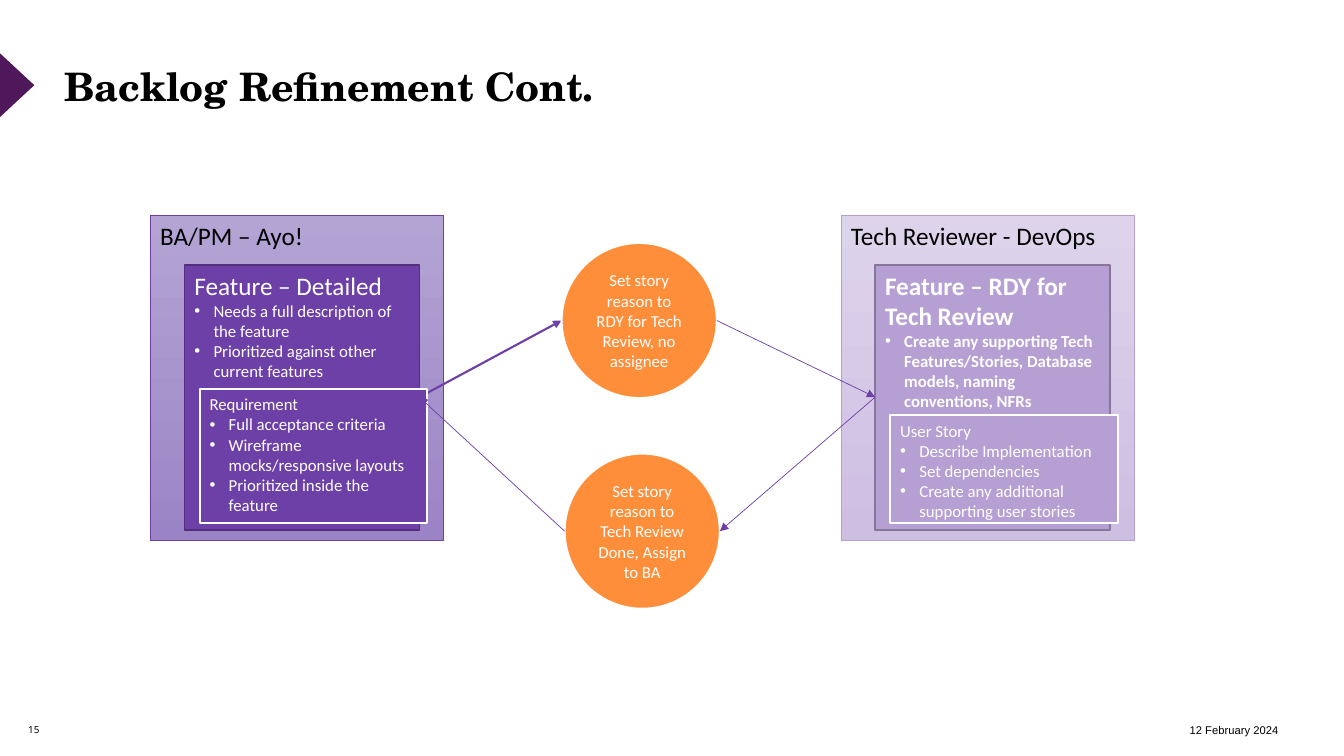
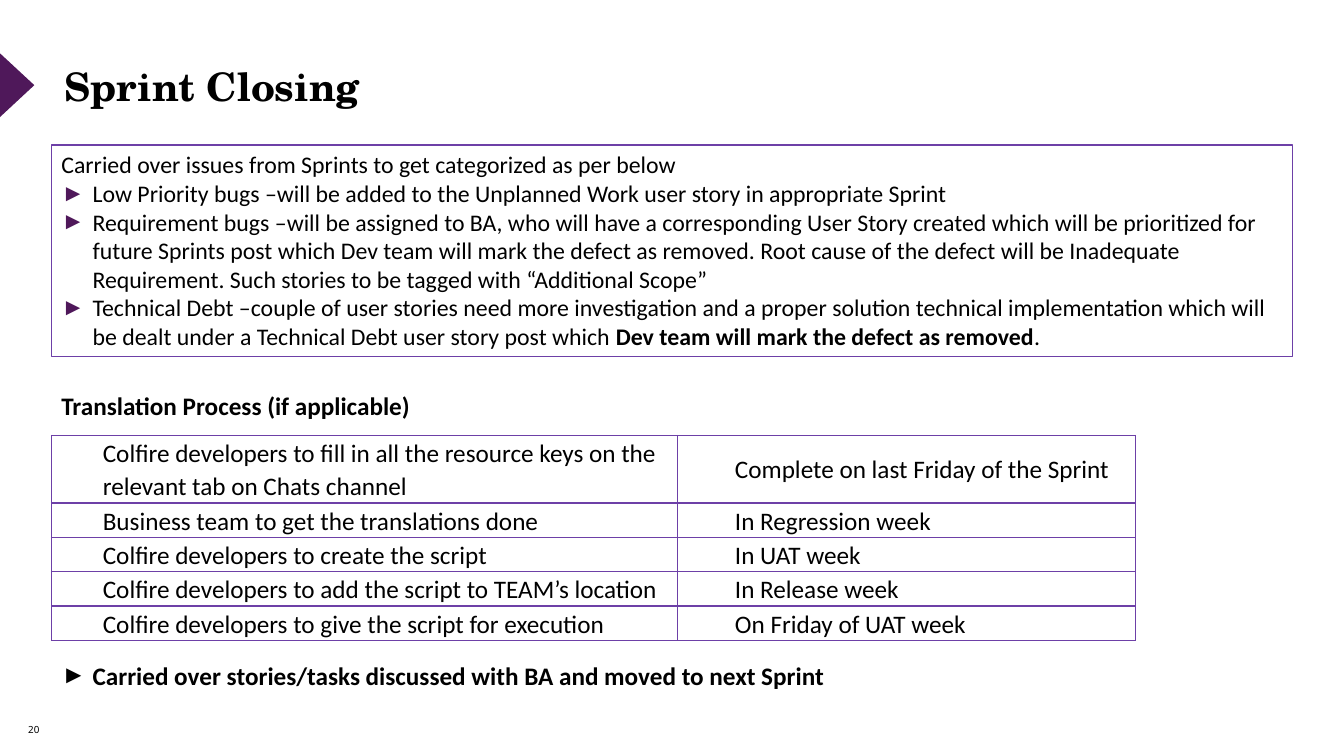
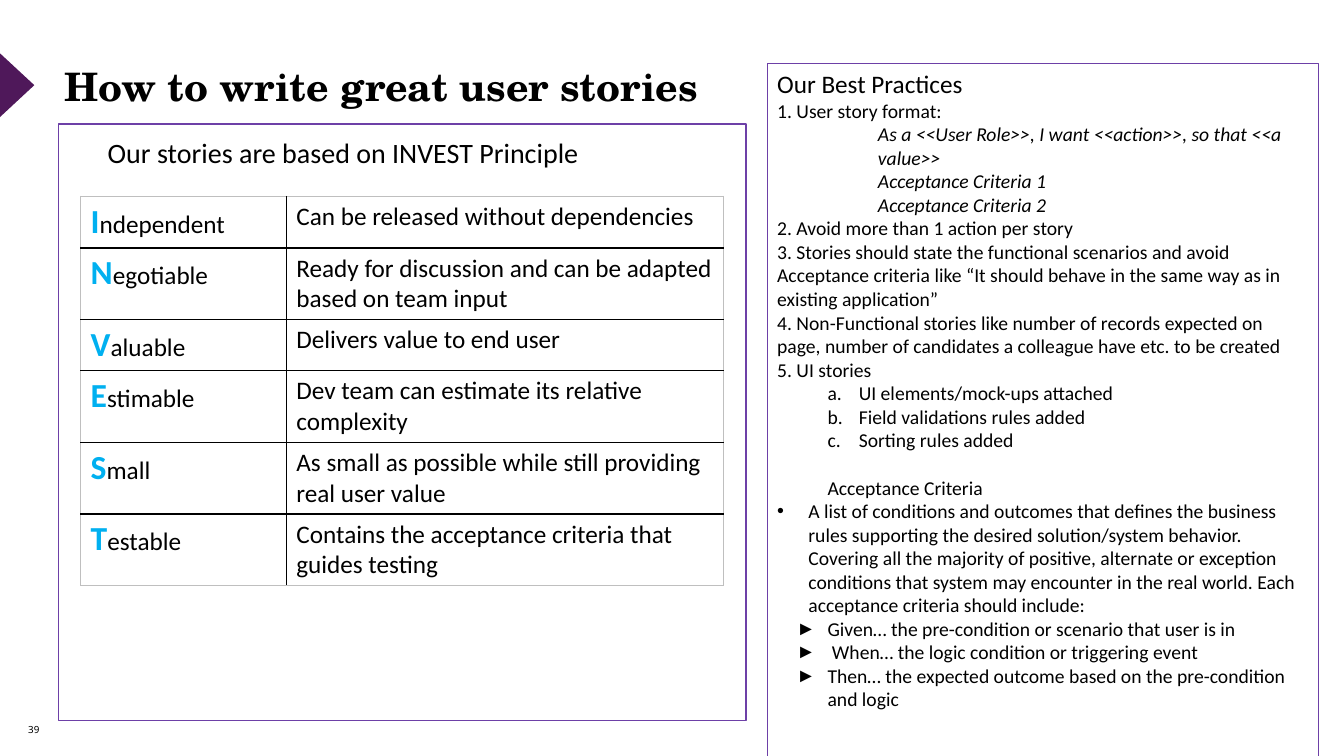
from dataclasses import dataclass
from typing import Any

from lxml.etree import SubElement
from pptx import Presentation
from pptx.dml.color import RGBColor
from pptx.enum.shapes import MSO_CONNECTOR as Link, MSO_SHAPE as Form
from pptx.enum.text import MSO_ANCHOR as Anchor, PP_ALIGN as Align
from pptx.oxml.ns import qn
from pptx.util import Inches, Pt

PURPLE, LILAC, PLUM, ORANGE = "6D40A7", "B69FD3", "4F185A", "FF8E3A"
BLACK, WHITE, GREY, BLUE = "000000", "FFFFFF", "BFBFBF", "00B0F0"
BODY, HEAD = "Calibri", "TeX Gyre Schola"
ARROW, DOT, ALPHA = "►", "•", "alphaLcPeriod"


def rgb(color):
    return RGBColor.from_string(color)


@dataclass
class Para:
    """A paragraph; text is a string or a list of (text, font changes)."""
    text: Any
    size: float = 18
    color: str = BLACK
    bold: bool = False
    italic: bool = False
    font: str = BODY
    bullet: str = ""
    tint: str = ""
    left: float = 0
    hang: float = 0
    before: float = 0
    lead: float = 0
    align: Any = None


def style(font, size=None, color=None, bold=None, italic=None, name=None):
    if size:
        font.size = Pt(size)
    if color:
        font.color.rgb = rgb(color)
    if name:
        font.name = name
    if bold is not None:
        font.bold = bold
    if italic is not None:
        font.italic = italic


def mark(props, item):
    """Give a paragraph its bullet or letter."""
    if item.tint:
        tint = SubElement(props, qn("a:buClr"))
        SubElement(tint, qn("a:srgbClr"), val=item.tint)
    SubElement(props, qn("a:buFont"), typeface="Arial")
    if item.bullet == ALPHA:
        SubElement(props, qn("a:buAutoNum"), type=ALPHA)
    else:
        SubElement(props, qn("a:buChar"), char=item.bullet)


def write(frame, items, anchor=Anchor.TOP, inset=None):
    frame.word_wrap = True
    frame.vertical_anchor = anchor
    if inset is not None:
        frame.margin_left = frame.margin_right = Inches(inset)
        frame.margin_top = frame.margin_bottom = Inches(inset)
    for i, item in enumerate(items):
        para = frame.add_paragraph() if i else frame.paragraphs[0]
        props = para._p.get_or_add_pPr()
        props.set("marL", str(Inches(item.left)))
        props.set("indent", str(Inches(-item.hang)))
        if item.bullet:
            mark(props, item)
        para.alignment = item.align or Align.LEFT
        if item.before:
            para.space_before = Pt(item.before)
        if item.lead:
            para.line_spacing = item.lead
        style(para.font, item.size, item.color, item.bold, item.italic,
              item.font)
        runs = [(item.text, {})] if isinstance(item.text, str) else item.text
        for words, change in runs:
            run = para.add_run()
            run.text = words
            style(run.font, **change)


def edge(cell, side, color):
    line = SubElement(cell._tc.get_or_add_tcPr(), qn("a:ln" + side),
                      w=str(Pt(1)))
    fill = SubElement(line, qn("a:solidFill"))
    SubElement(fill, qn("a:srgbClr"), val=color)


class Deck:
    def __init__(self):
        self.prs = Presentation()
        self.prs.slide_width = Inches(13.33)
        self.prs.slide_height = Inches(7.5)
        self.slide = None

    def start(self, title, number):
        """Add a slide with the wedge, title and page number."""
        self.slide = self.prs.slides.add_slide(self.prs.slide_layouts[6])
        wedge = self.shape((-0.16, 0.67, 0.65, 0.35), PLUM,
                           form=Form.ISOSCELES_TRIANGLE)
        wedge.rotation = 90
        self.text((0.28, 7.04, 0.45, 0.4),
                  [Para(number, 7, font="Noto Sans")], Anchor.MIDDLE, 0)
        self.text((0.64, 0.62, 12.04, 0.8),
                  [Para(title, 28, bold=True, font=HEAD)], inset=0)

    def text(self, box, items, anchor=Anchor.TOP, inset=None):
        area = self.slide.shapes.add_textbox(*map(Inches, box))
        write(area.text_frame, items, anchor, inset)

    def shape(self, box, fill=None, line=None, width=1, items=(),
              form=Form.RECTANGLE, anchor=Anchor.TOP):
        """Draw a shape; a pair of fill colours makes a downward gradient."""
        shape = self.slide.shapes.add_shape(form, *map(Inches, box))
        shape.shadow.inherit = False
        if fill is None:
            shape.fill.background()
        elif isinstance(fill, tuple):
            shape.fill.gradient()
            shape.fill.gradient_angle = 270
            for stop, color in zip(shape.fill.gradient_stops, fill):
                stop.color.rgb = rgb(color)
        else:
            shape.fill.solid()
            shape.fill.fore_color.rgb = rgb(fill)
        if line:
            shape.line.color.rgb = rgb(line)
            shape.line.width = Pt(width)
        else:
            shape.line.fill.background()
        if items:
            write(shape.text_frame, items, anchor)
        return shape

    def arrow(self, start, end, width=0.5):
        link = self.slide.shapes.add_connector(
            Link.STRAIGHT, *map(Inches, start + end))
        link.line.color.rgb = rgb(PURPLE)
        link.line.width = Pt(width)
        SubElement(link.line._get_or_add_ln(), qn("a:tailEnd"),
                   type="triangle")
        SubElement(link._element.spPr, qn("a:effectLst"))

    def table(self, spot, cols, heights, rows, inner, outer,
              anchor=Anchor.TOP, inset=None):
        """Draw a table; each cell is one Para."""
        frame = self.slide.shapes.add_table(
            len(rows), len(cols),
            *map(Inches, spot + (sum(cols), sum(heights))))
        table = frame.table
        table.first_row = table.horz_banding = False
        for col, width in zip(table.columns, cols):
            col.width = Inches(width)
        for r, row in enumerate(rows):
            table.rows[r].height = Inches(heights[r])
            for c, item in enumerate(row):
                cell = table.cell(r, c)
                rim = {"L": c == 0, "R": c == len(cols) - 1,
                       "T": r == 0, "B": r == len(rows) - 1}
                for side, out in rim.items():
                    edge(cell, side, outer if out else inner)
                cell.fill.background()
                write(cell.text_frame, [item])
                cell.vertical_anchor = anchor
                if inset is not None:
                    cell.margin_left = cell.margin_right = Inches(inset)
                    cell.margin_top = cell.margin_bottom = Inches(inset)


def points(head, size, lines, bold=False):
    """White heading with small dotted lines below."""
    return [Para(head, size, WHITE, bold)] + [
        Para(line, 12, WHITE, bold, bullet=DOT, left=0.19, hang=0.19)
        for line in lines]


def backlog(deck):
    deck.start("Backlog Refinement Cont.", "15")
    deck.text((11.54, 7.04, 1.14, 0.4),
              [Para("12 February 2024", 8, font="Arial", align=Align.RIGHT)],
              Anchor.MIDDLE, 0)
    cards = [
        (1.49, ("B4A4D4", "9B84C5"), PURPLE, "512F7C", "BA/PM – Ayo!",
         points("Feature – Detailed", 18,
                ["Needs a full description of the feature",
                 "Prioritized against other current features"])),
        (8.34, ("DDD3EB", "CEBEE2"), LILAC, "87769C",
         "Tech Reviewer - DevOps",
         points("Feature – RDY for Tech Review", 18,
                ["Create any supporting Tech Features/Stories, Database "
                 "models, naming conventions, NFRs"], True)),
    ]
    for x, fade, fill, rim, role, feature in cards:
        deck.shape((x, 2.14, 2.91, 3.22), fade, fill, 0.5, [Para(role)])
        deck.shape((x + 0.34, 2.63, 2.33, 2.63), fill, rim, 1, feature)

    left, right = (4.16, 3.94), (8.68, 3.94)
    deck.arrow(left, (5.57, 3.18), 1.5)
    details = [
        (1.98, 3.86, PURPLE, "Requirement",
         ["Full acceptance criteria", "Wireframe mocks/responsive layouts",
          "Prioritized inside the feature"]),
        (8.83, 4.12, LILAC, "User Story",
         ["Describe Implementation", "Set dependencies",
          "Create any additional supporting user stories"]),
    ]
    for x, y, fill, head, lines in details:
        deck.shape((x, y, 2.26, 5.19 - y), fill, WHITE, 1.5,
                   points(head, 12, lines))
    steps = [
        (5.57, 2.41, "Set story reason to RDY for Tech Review, no assignee"),
        (5.6, 4.5, "Set story reason to Tech Review Done, Assign to BA"),
    ]
    for x, y, words in steps:
        deck.shape((x, y, 1.54, 1.54), ORANGE, WHITE, 1.5,
                   [Para(words, 12, WHITE, align=Align.CENTER)],
                   Form.OVAL, Anchor.MIDDLE)
    deck.arrow((7.11, 3.18), right)
    deck.arrow(right, (7.14, 5.27))
    deck.arrow((5.6, 5.27), left)


def closing(deck):
    deck.start("Sprint Closing", "20")
    issues = [
        "Low Priority bugs –will be added to the Unplanned Work user story "
        "in appropriate Sprint",
        "Requirement bugs –will be assigned to BA, who will have a "
        "corresponding User Story created which will be prioritized for "
        "future Sprints post which Dev team will mark the defect as removed. "
        "Root cause of the defect will be Inadequate Requirement. Such "
        "stories to be tagged with “Additional Scope”",
        [("Technical Debt –couple of user stories need more investigation "
          "and a proper solution technical implementation which will be "
          "dealt under a Technical Debt user story post which ", {}),
         ("Dev team will mark the defect as removed", {"bold": True}),
         (".", {})],
    ]
    intro = "Carried over issues from Sprints to get categorized as per below"
    deck.shape((0.51, 1.44, 12.31, 2.1), WHITE, PURPLE, 1,
               [Para(intro, 17)] + [
                   Para(issue, 17, bullet=ARROW, tint=PLUM, left=0.31,
                        hang=0.31) for issue in issues])
    deck.text((0.51, 3.82, 4.5, 0.4),
              [Para("Translation Process (if applicable)", bold=True)])
    tasks = [
        ("Colfire developers to fill in all the resource keys on the "
         "relevant tab on Chats channel",
         "Complete on last Friday of the Sprint"),
        ("Business team to get the translations done", "In Regression week"),
        ("Colfire developers to create the script", "In UAT week"),
        ("Colfire developers to add the script to TEAM’s location",
         "In Release week"),
        ("Colfire developers to give the script for execution",
         "On Friday of UAT week"),
    ]
    rows = [[Para(task, left=0.5, lead=1.07), Para(when, left=0.56, lead=1.07)]
            for task, when in tasks]
    deck.table((0.51, 4.32), (6.21, 4.54), [0.67] + [0.34] * 4, rows,
               PURPLE, PURPLE, Anchor.MIDDLE, 0.01)
    deck.text((0.51, 6.5, 12.31, 0.4),
              [Para("Carried over stories/tasks discussed with BA and moved "
                    "to next Sprint", bold=True, bullet=ARROW, left=0.31,
                    hang=0.31)])


def stories(deck):
    deck.start("How to write great user stories", "39")
    deck.shape((0.58, 1.23, 6.82, 5.92), None, PURPLE)
    deck.text((0.97, 1.23, 5.6, 0.57),
              [Para("Our stories are based on INVEST Principle", 20)],
              Anchor.MIDDLE)
    traits = [
        ("Independent", "Can be released without dependencies", 0.51),
        ("Negotiable", "Ready for discussion and can be adapted based on "
         "team input", 0.71),
        ("Valuable", "Delivers value to end user", 0.51),
        ("Estimable", "Dev team can estimate its relative complexity", 0.71),
        ("Small", "As small as possible while still providing real user "
         "value", 0.71),
        ("Testable", "Contains the acceptance criteria that guides testing",
         0.71),
    ]
    cap = {"size": 24, "color": BLUE, "bold": True}
    rows = [[Para([(word[0], cap), (word[1:], {})]), Para(sense)]
            for word, sense, _ in traits]
    deck.table((0.8, 1.95), (2.04, 4.34), [t[2] for t in traits], rows,
               BLACK, GREY)

    def group(lines, **look):
        return [Para(line, 14, **look) for line in lines]

    rules = [Para("Our Best Practices")]
    rules += group(["1. User story format:"])
    rules += group(["As a <<User Role>>, I want <<action>>, so that "
                    "<<a value>>", "Acceptance Criteria 1",
                    "Acceptance Criteria 2"], left=1, italic=True)
    rules += group([
        "2. Avoid more than 1 action per story",
        "3. Stories should state the functional scenarios and avoid "
        "Acceptance criteria like “It should behave in the same way as in "
        "existing application”",
        "4. Non-Functional stories like number of records expected on page, "
        "number of candidates a colleague have etc. to be created",
        "5. UI stories"])
    rules += group(["UI elements/mock-ups attached",
                    "Field validations rules added", "Sorting rules added"],
                   bullet=ALPHA, left=0.81, hang=0.31)
    rules += group(["Acceptance Criteria"], left=0.5, before=17)
    rules += group([
        "A list of conditions and outcomes that defines the business rules "
        "supporting the desired solution/system behavior. Covering all the "
        "majority of positive, alternate or exception conditions that system "
        "may encounter in the real world. Each acceptance criteria should "
        "include:"], bullet=DOT, left=0.31, hang=0.31)
    rules += group([
        "Given… the pre-condition or scenario that user is in",
        " When… the logic condition or triggering event",
        "Then… the expected outcome based on the pre-condition and logic"],
        bullet=ARROW, left=0.5, hang=0.31)
    deck.shape((7.61, 0.63, 5.47, 7), None, PURPLE, 1, rules)


def main():
    deck = Deck()
    for build in (backlog, closing, stories):
        build(deck)
    deck.prs.save("out.pptx")


if __name__ == "__main__":
    main()
